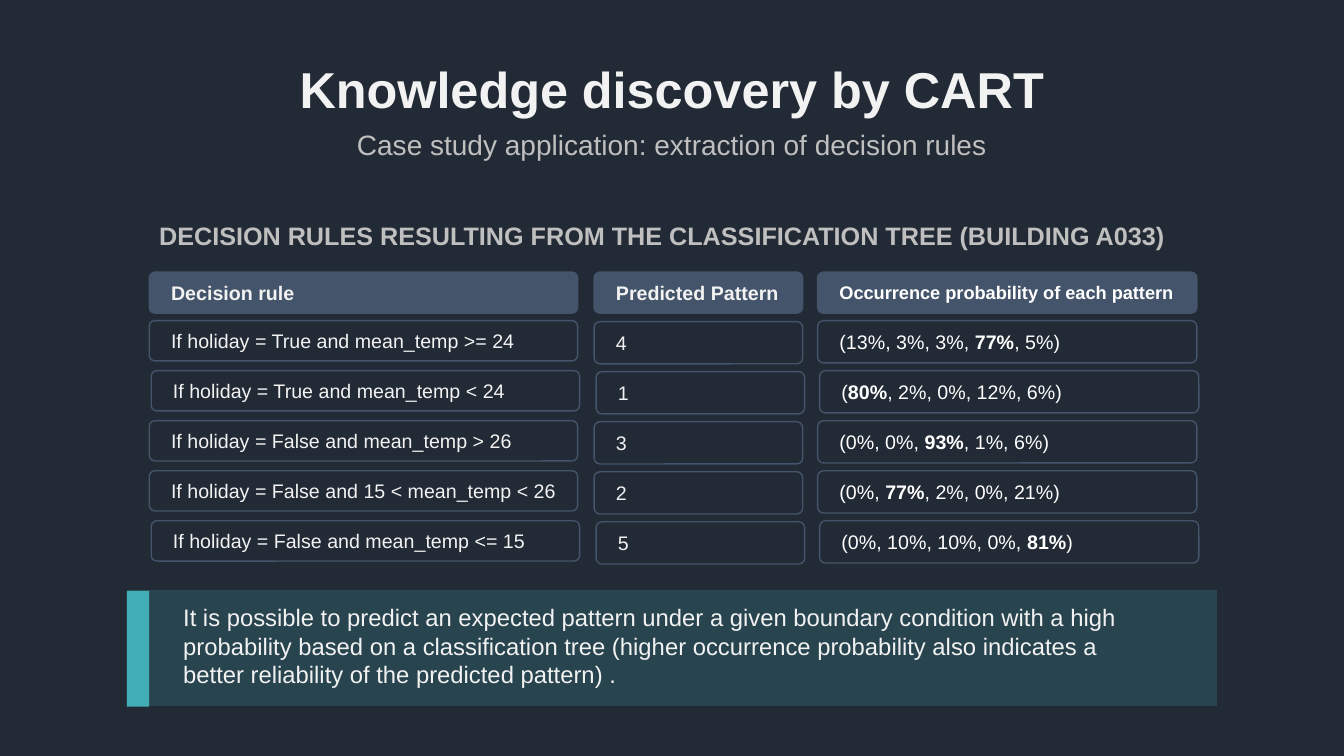
from pptx import Presentation
from pptx.dml.color import RGBColor
from pptx.enum.shapes import MSO_SHAPE
from pptx.enum.text import MSO_ANCHOR, MSO_AUTO_SIZE, PP_ALIGN
from pptx.oxml.ns import qn
from pptx.util import Pt
from lxml import etree

RECTANGLE, ROUNDED = MSO_SHAPE.RECTANGLE, MSO_SHAPE.ROUNDED_RECTANGLE
TOP, MIDDLE = MSO_ANCHOR.TOP, MSO_ANCHOR.MIDDLE
LEFT, CENTER = PP_ALIGN.LEFT, PP_ALIGN.CENTER
NO_AUTOFIT = MSO_AUTO_SIZE.NONE

NIGHT = RGBColor(0x22, 0x2A, 0x35)
SLATE = RGBColor(0x44, 0x54, 0x6A)
TEAL = RGBColor(0x42, 0xAF, 0xB6)
WHITE = RGBColor(0xFF, 0xFF, 0xFF)
PALE = RGBColor(0xF2, 0xF2, 0xF2)
GRAY = RGBColor(0xBF, 0xBF, 0xBF)

HEADER_TOP, HEADER_HEIGHT = 194.4, 29.3
FIRST_ROW_TOP, ROW_PITCH = 229, 35.75
ROW_NUDGES = (0, 1.4, 0, 0, 1.4)
COLUMNS = (
    {"left": 106.6, "width": 306, "height": 28.8, "drop": 0, "color": PALE,
     "header": "Decision rule", "header_size": 14,
     "cells": ("If holiday = True and mean_temp >= 24",
               "If holiday = True and mean_temp < 24",
               "If holiday = False and mean_temp > 26",
               "If holiday = False and 15 < mean_temp < 26",
               "If holiday = False and mean_temp <= 15")},
    {"left": 424.4, "width": 149, "height": 30.2, "drop": 0.7, "color": PALE,
     "header": "Predicted Pattern", "header_size": 14,
     "cells": ("4", "1", "3", "2", "5")},
    {"left": 584, "width": 270.9, "height": 30.2, "drop": 0, "color": WHITE,
     "header": "Occurrence probability of each pattern", "header_size": 13,
     "cells": ("(13%, 3%, 3%, *77%*, 5%)", "(*80%*, 2%, 0%, 12%, 6%)",
               "(0%, 0%, *93%*, 1%, 6%)", "(0%, *77%*, 2%, 0%, 21%)",
               "(0%, 10%, 10%, 0%, *81%*)")},
)


def write_text(box, text, size, color, bold=False, align=LEFT, anchor=TOP,
               inset=7.2, spacing=1.0):
    """Fill a box with one paragraph; starred parts switch the weight."""
    frame = box.text_frame
    frame_format = {"word_wrap": True, "auto_size": NO_AUTOFIT,
                    "vertical_anchor": anchor, "margin_left": Pt(inset)}
    for name, value in frame_format.items():
        setattr(frame, name, value)
    para = frame.paragraphs[0]
    para.alignment, para.line_spacing = align, spacing
    for index, part in enumerate(text.split("*")):
        span = para.add_run()
        span.text = part
        span.font.color.rgb = color
        font_format = {"name": "Arial", "size": Pt(size),
                       "bold": bold != (index % 2 == 1)}
        for name, value in font_format.items():
            setattr(span.font, name, value)


def add_label(page, bounds, text, size, color, **options):
    """Add a plain text box."""
    box = page.shapes.add_textbox(*map(Pt, bounds))
    write_text(box, text, size, color, **options)


def add_block(page, kind, bounds, fill=None, line=None):
    """Add a flat shape with an optional fill and outline."""
    box = page.shapes.add_shape(kind, *map(Pt, bounds))
    box.shadow.inherit = False
    for paint, color in ((box.fill, fill), (box.line.fill, line)):
        if color is None:
            paint.background()
        else:
            paint.solid()
            paint.fore_color.rgb = color
    if line is not None:
        box.line.width = Pt(1)
    return box


def add_cell(page, bounds, text, size, color, fill=None, bold=False):
    """Add one rounded, outlined cell of the rule grid."""
    box = add_block(page, ROUNDED, bounds, fill, SLATE)
    box.adjustments[0] = 0.14
    write_text(box, text, size, color, bold=bold, anchor=MIDDLE, inset=14.4)


def add_column(page, column):
    """Add a header and the cells beneath it."""
    left, width, color = column["left"], column["width"], column["color"]
    add_cell(page, (left, HEADER_TOP, width, HEADER_HEIGHT), column["header"],
             column["header_size"], color, fill=SLATE, bold=True)
    for row, (text, nudge) in enumerate(zip(column["cells"], ROW_NUDGES)):
        top = FIRST_ROW_TOP + row * ROW_PITCH + column["drop"]
        add_cell(page, (left + nudge, top, width, column["height"]),
                 text, 14, color)


def add_conclusion(page, text):
    """Add the translucent panel with its accent bar and message."""
    panel = add_block(page, RECTANGLE, (90.7, 421.4, 778.5, 82.8), TEAL)
    tint = panel.fill._xPr.find(qn("a:solidFill"))[0]
    etree.SubElement(tint, qn("a:alpha"), val="20000")
    add_block(page, RECTANGLE, (90.7, 422, 15.8, 82.8), TEAL)
    add_label(page, (123.8, 427, 712.8, 69.1), text, 17, PALE)


def main():
    """Build the slide and save the deck."""
    deck = Presentation()
    deck.slide_width, deck.slide_height = Pt(960), Pt(540)
    page = deck.slides.add_slide(deck.slide_layouts[5])
    page.background.fill.solid()
    page.background.fill.fore_color.rgb = NIGHT

    title = page.shapes.title
    title_place = {"left": 66, "top": 13.7, "width": 828, "height": 104.4}
    for name, value in title_place.items():
        setattr(title, name, Pt(value))
    write_text(title, "Knowledge discovery by CART", 36, PALE, bold=True,
               align=CENTER, anchor=MIDDLE, spacing=0.9)
    add_label(page, (66, 90, 828, 28.8),
              "Case study application: extraction of decision rules",
              20, GRAY, align=CENTER, spacing=0.9)
    add_label(page, (106.6, 154, 778.5, 28.8),
              "DECISION RULES RESULTING FROM THE CLASSIFICATION TREE "
              "(BUILDING A033)", 18, GRAY, bold=True)
    for column in COLUMNS:
        add_column(page, column)
    add_conclusion(page, "It is possible to predict an expected pattern under "
                   "a given boundary condition with a high probability based "
                   "on a classification tree (higher occurrence probability "
                   "also indicates a better reliability of the predicted "
                   "pattern) .")
    deck.save("out.pptx")


main()
